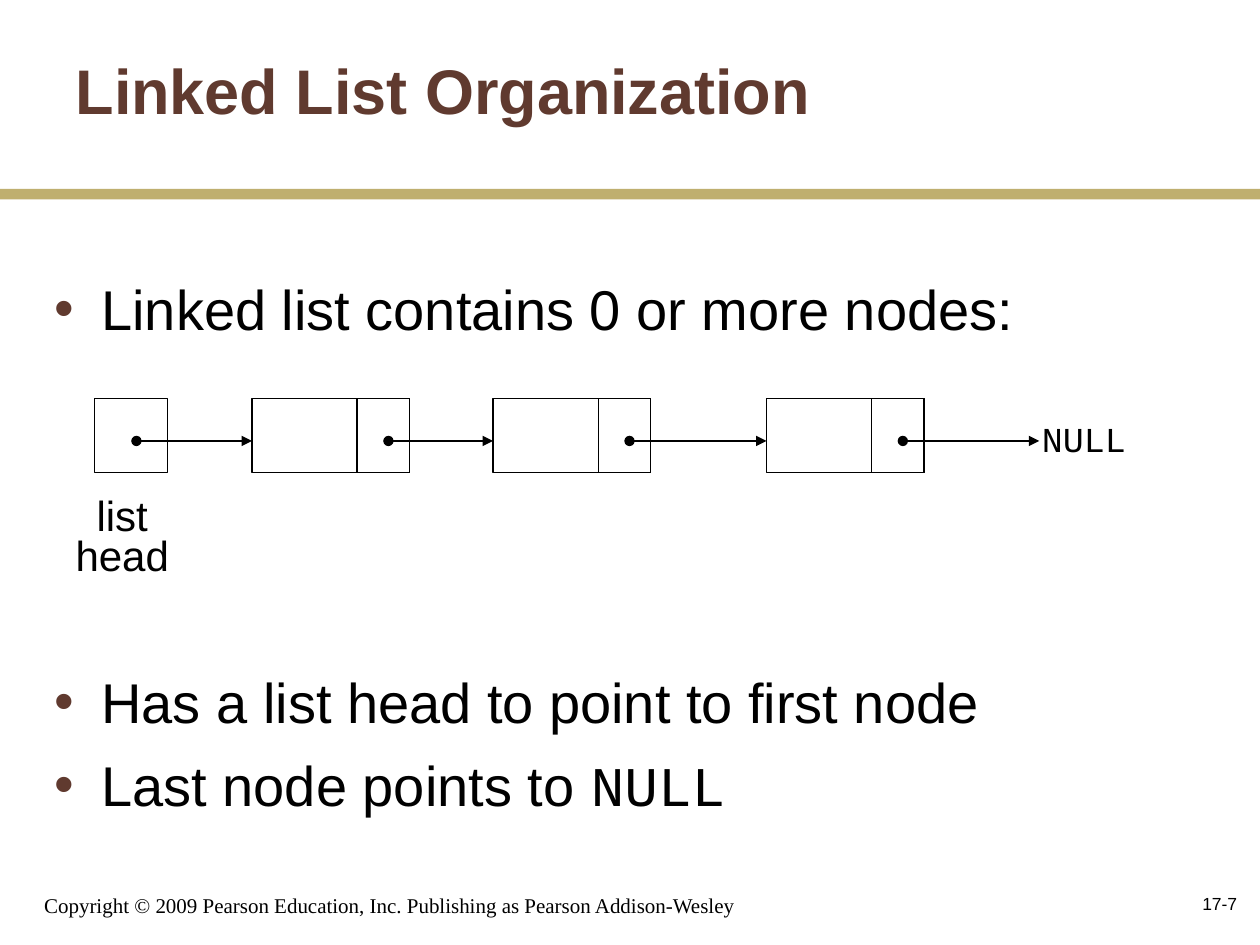
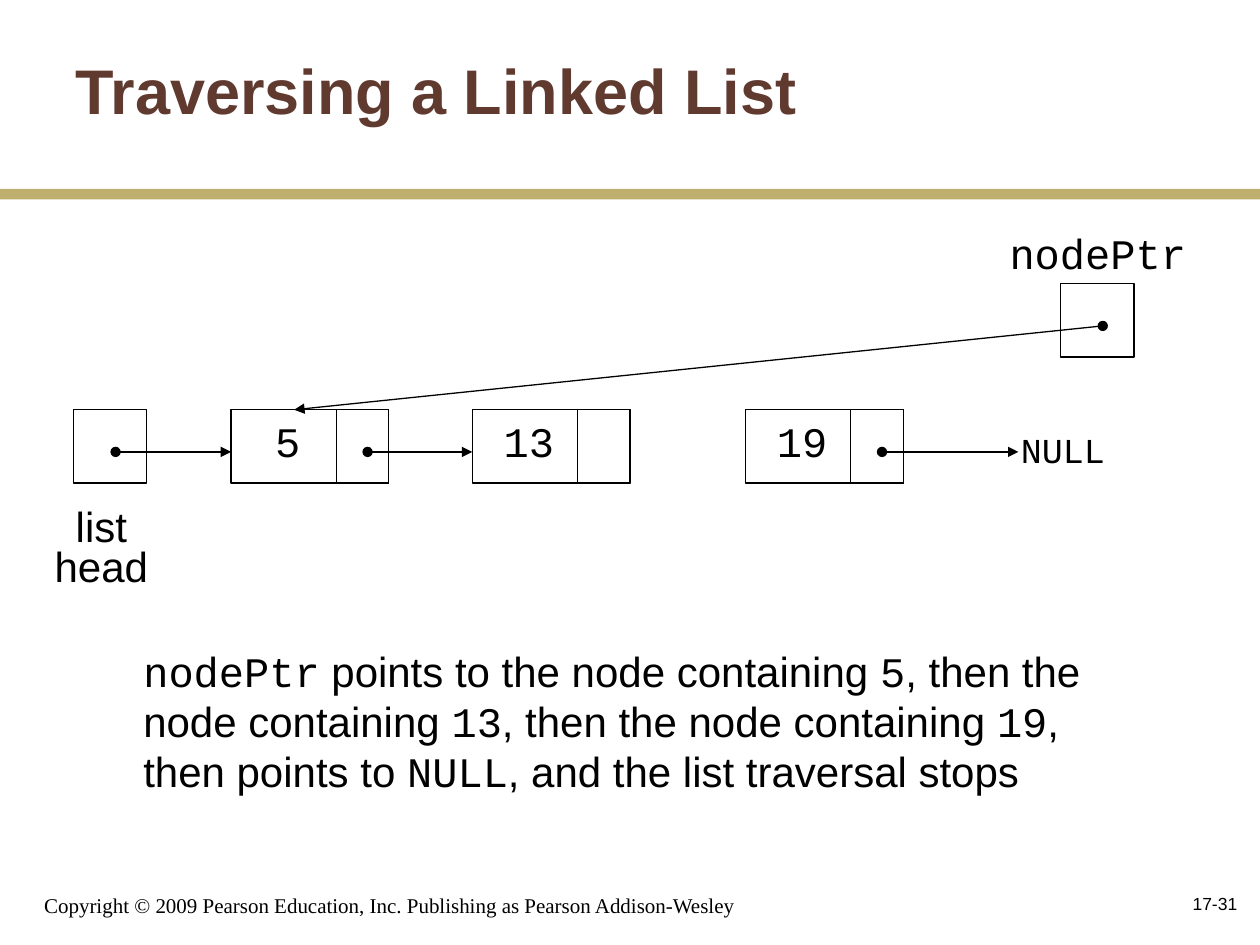
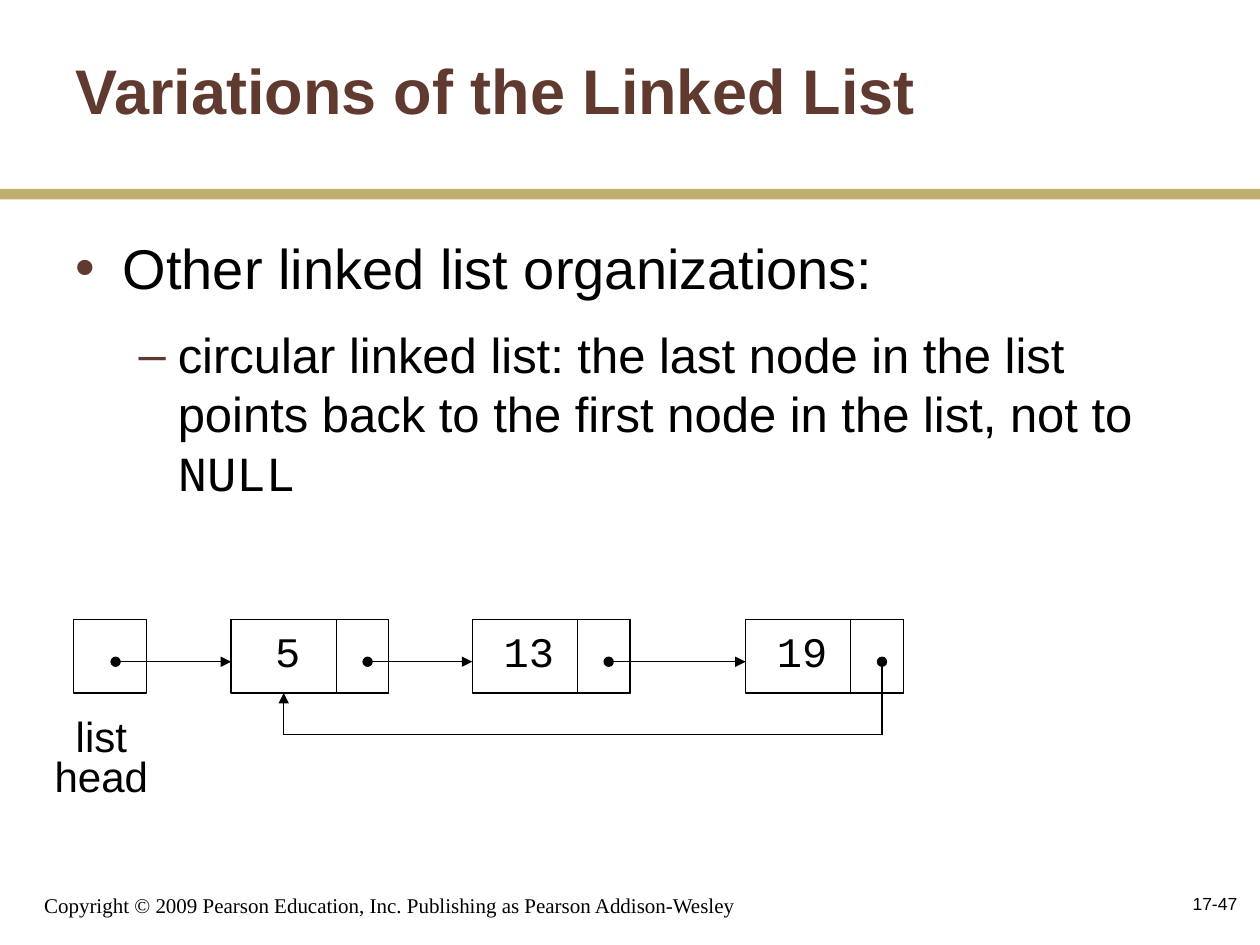
from dataclasses import dataclass

import pptx
import pptx.dml.color
import pptx.enum.shapes
import pptx.enum.text
import pptx.oxml
import pptx.oxml.ns
import pptx.util
from pptx.util import Cm, Pt

SHAPE = pptx.enum.shapes.MSO_SHAPE
ALIGN = pptx.enum.text.PP_ALIGN
ANCHOR = pptx.enum.text.MSO_ANCHOR


@dataclass(frozen=True)
class Theme:
    brown: str = "603A2F"
    gold: str = "BFAF6F"
    black: str = "000000"
    sans: str = "Arial"
    mono: str = "Courier New"
    serif: str = "Times New Roman"
    title: int = 36
    bullet: int = 32
    sub_bullet: int = 28
    label: int = 24
    null: int = 20
    copyright: int = 12
    number: int = 10


THEME = Theme()
COPYRIGHT = "Copyright © 2009 Pearson Education, Inc. Publishing as Pearson Addison-Wesley"

# Code words stand between backticks. Bullets are (level, space before, text).
# Chain "links" name the nodes whose pointer leads to the next node or to NULL.
SLIDES = [
    {
        "title": "Linked List Organization",
        "number": "17-7",
        "bullets": [
            (0, 0, "Linked list contains 0 or more nodes:"),
            (0, 186, "Has a list head to point to first node"),
            (0, 9, "Last node points to `NULL`"),
        ],
        "bullets_at": (0.84, 5.41, 23.04, 12.5),
        "chain": {"at": (1.9, 8.04), "values": ["", "", ""], "links": [0, 1, 2]},
    },
    {
        "title": "Traversing a Linked List",
        "number": "17-31",
        "chain": {"at": (1.48, 8.26), "values": ["5", "13", "19"], "links": [0, 2]},
        "node_pointer": {"name": "`nodePtr`", "at": (21.38, 5.72), "target": (5.93, 8.26)},
        "explanation": [
            "`nodePtr` points to the node containing `5`, then the",
            "node containing `13`, then the node containing `19`,",
            "then points to `NULL`, and the list traversal stops",
        ],
    },
    {
        "title": "Variations of the Linked List",
        "number": "17-47",
        "bullets": [
            (0, 0, "Other linked list organizations:"),
            (1, 14, "circular linked list: the last node in the list points back to "
                    "the first node in the list, not to `NULL`"),
        ],
        "bullets_at": (1.27, 4.57, 23.06, 11.4),
        "chain": {"at": (1.48, 12.49), "values": ["5", "13", "19"], "links": [0, 1],
                  "circular": True},
    },
]

# Level: bullet sign, text size, left margin and hanging indent in cm
LEVELS = [("•", THEME.bullet, 0.95, 0.95), ("–", THEME.sub_bullet, 2.06, 0.79)]

# Chain geometry in cm, measured from the corner of the list head
CELL = 1.48
NODE_WIDTH, DATA_WIDTH = 3.18, 2.12
NODE_OFFSETS = [3.18, 8.04, 13.55]
NULL_OFFSET = 19.05
HEAD_DOT, POINTER_DOT = 0.85, 2.75
LOOP_DEPTH = 2.32


def rgb(code):
    return pptx.dml.color.RGBColor.from_string(code)


def lengths(values):
    return [Cm(value) for value in values]


def set_font(font, face, size, color=THEME.black, bold=False):
    font.name, font.size, font.bold = face, Pt(size), bold
    font.color.rgb = rgb(color)


def write(paragraph, text, size, face=THEME.sans):
    """Fill a paragraph, setting the words between backticks in the code font."""
    pieces = [(piece, bool(i % 2)) for i, piece in enumerate(text.split("`")) if piece]
    all_code = all(is_code for _, is_code in pieces)
    set_font(paragraph.font, THEME.mono if all_code else face, size)
    for piece, is_code in pieces:
        run = paragraph.add_run()
        run.text = piece
        if is_code and not all_code:
            run.font.name = THEME.mono


def add_text(slide, box, lines, size, face=THEME.sans, align=ALIGN.CENTER,
             anchor=ANCHOR.TOP, spacing=1.0, wrap=False):
    frame = slide.shapes.add_textbox(*lengths(box)).text_frame
    frame.word_wrap, frame.vertical_anchor = wrap, anchor
    for i, line in enumerate(lines):
        paragraph = frame.paragraphs[0] if i == 0 else frame.add_paragraph()
        paragraph.alignment, paragraph.line_spacing = align, spacing
        write(paragraph, line, size, face)


def add_cell(slide, left, top, width=CELL):
    cell = slide.shapes.add_shape(SHAPE.RECTANGLE, *lengths((left, top, width, CELL)))
    cell.shadow.inherit = False
    cell.fill.background()
    cell.line.color.rgb = rgb(THEME.black)
    cell.line.width = Pt(0.75)


def add_link(slide, start, end, dot=True, arrow=True):
    link = slide.shapes.add_connector(
        pptx.enum.shapes.MSO_CONNECTOR.STRAIGHT, *lengths(start + end))
    link.line.color.rgb = rgb(THEME.black)
    link.line.width = Pt(0.75)
    properties = link.line._get_or_add_ln()
    for tag, kind, shown in (("a:headEnd", "oval", dot), ("a:tailEnd", "triangle", arrow)):
        if shown:
            pptx.oxml.xmlchemy.OxmlElement(tag)
            mark = properties.makeelement(pptx.oxml.ns.qn(tag), {"type": kind})
            properties.append(mark)
    effects = properties.makeelement(pptx.oxml.ns.qn("a:effectLst"), {})
    properties.getparent().append(effects)


def add_chain(slide, at, values, links, circular=False):
    """Draw the list head, its nodes and the links between them."""
    left, top = at
    link_y = top + HEAD_DOT
    nodes = [left + offset for offset in NODE_OFFSETS]
    stops = nodes[1:] + [left + NULL_OFFSET]

    add_cell(slide, left, top)
    add_text(slide, (left - 0.63, top + 1.9, 2.39, 1.88), ["list", "head"],
             THEME.label, spacing=0.8)
    add_link(slide, (left + HEAD_DOT, link_y), (nodes[0], link_y))
    for node, value in zip(nodes, values):
        add_cell(slide, node, top, NODE_WIDTH)
        add_cell(slide, node + DATA_WIDTH, top, NODE_WIDTH - DATA_WIDTH)
        if value:
            add_text(slide, (node + 0.38, top, 1.52, 1.27), [f"`{value}`"], THEME.label)
    for i in links:
        add_link(slide, (nodes[i] + POINTER_DOT, link_y), (stops[i], link_y))

    if circular:
        right, back = nodes[-1] + POINTER_DOT, nodes[0] + DATA_WIDTH / 2
        low = top + LOOP_DEPTH
        add_link(slide, (right, link_y), (right, low), arrow=False)
        add_link(slide, (right, low), (back, low), dot=False, arrow=False)
        add_link(slide, (back, low), (back, top + CELL), dot=False)
    else:
        add_text(slide, (stops[-1] - 0.2, top + 0.08, 2.2, 1.27), ["`NULL`"],
                 THEME.null, spacing=1.2)


def add_node_pointer(slide, name, at, target):
    left, top = at
    add_cell(slide, left, top)
    add_link(slide, (left + HEAD_DOT, top + HEAD_DOT), target)
    add_text(slide, (left - 1.28, top - 1.06, 4.06, 1.06), [name], THEME.label, spacing=0.8)


def place(placeholder, box):
    (placeholder.left, placeholder.top,
     placeholder.width, placeholder.height) = lengths(box)
    placeholder.text_frame.auto_size = pptx.enum.text.MSO_AUTO_SIZE.NONE
    return placeholder.text_frame


def add_bullet(paragraph, sign, margin, hanging):
    properties = paragraph._p.get_or_add_pPr()
    properties.set("marL", str(Cm(margin)))
    properties.set("indent", str(-Cm(hanging)))
    properties.append(pptx.oxml.parse_xml(
        f'<a:buClr {pptx.oxml.ns.nsdecls("a")}><a:srgbClr val="{THEME.brown}"/></a:buClr>'))
    properties.append(pptx.oxml.parse_xml(
        f'<a:buChar {pptx.oxml.ns.nsdecls("a")} char="{sign}"/>'))


def fill_bullets(placeholder, box, bullets):
    frame = place(placeholder, box)
    for i, (level, space, text) in enumerate(bullets):
        sign, size, margin, hanging = LEVELS[level]
        paragraph = frame.paragraphs[0] if i == 0 else frame.add_paragraph()
        paragraph.level = level
        add_bullet(paragraph, sign, margin, hanging)
        paragraph.space_before = Pt(space)
        paragraph.line_spacing = Pt(round(1.2 * size, 1))
        write(paragraph, text, size)


def add_frame(slide, title, number):
    """Add what all slides share: title, band, copyright line and slide number."""
    heading = place(slide.shapes.title, (1.27, 0.21, 21.17, 3.18))
    heading.vertical_anchor = ANCHOR.MIDDLE
    heading.text = title
    heading.paragraphs[0].alignment = ALIGN.LEFT
    set_font(heading.paragraphs[0].font, THEME.sans, THEME.title, THEME.brown, bold=True)

    band = slide.shapes.add_shape(SHAPE.PENTAGON, *lengths((0, 3.81, 25.4, 0.21)))
    band.adjustments[0] = 0
    band.shadow.inherit = False
    band.fill.solid()
    band.fill.fore_color.rgb = rgb(THEME.gold)
    band.line.fill.background()

    add_text(slide, (0.64, 17.57, 15.45, 1.06), [COPYRIGHT], THEME.copyright,
             THEME.serif, ALIGN.LEFT, ANCHOR.BOTTOM)
    add_text(slide, (19.9, 17.57, 5.29, 1.27), [number], THEME.number,
             align=ALIGN.RIGHT, anchor=ANCHOR.MIDDLE, wrap=True)


def main():
    deck = pptx.Presentation()
    deck.slide_width, deck.slide_height = Cm(25.4), Cm(19.05)
    title_and_content, title_only = deck.slide_layouts[1], deck.slide_layouts[5]
    for content in SLIDES:
        has_bullets = "bullets" in content
        slide = deck.slides.add_slide(title_and_content if has_bullets else title_only)
        add_frame(slide, content["title"], content["number"])
        if has_bullets:
            fill_bullets(slide.placeholders[1], content["bullets_at"], content["bullets"])
        add_chain(slide, **content["chain"])
        if "node_pointer" in content:
            add_node_pointer(slide, **content["node_pointer"])
        if "explanation" in content:
            add_text(slide, (2.64, 12.88, 20, 3.3), content["explanation"],
                     THEME.label, align=ALIGN.LEFT, wrap=True)
    deck.save("out.pptx")


if __name__ == "__main__":
    main()
